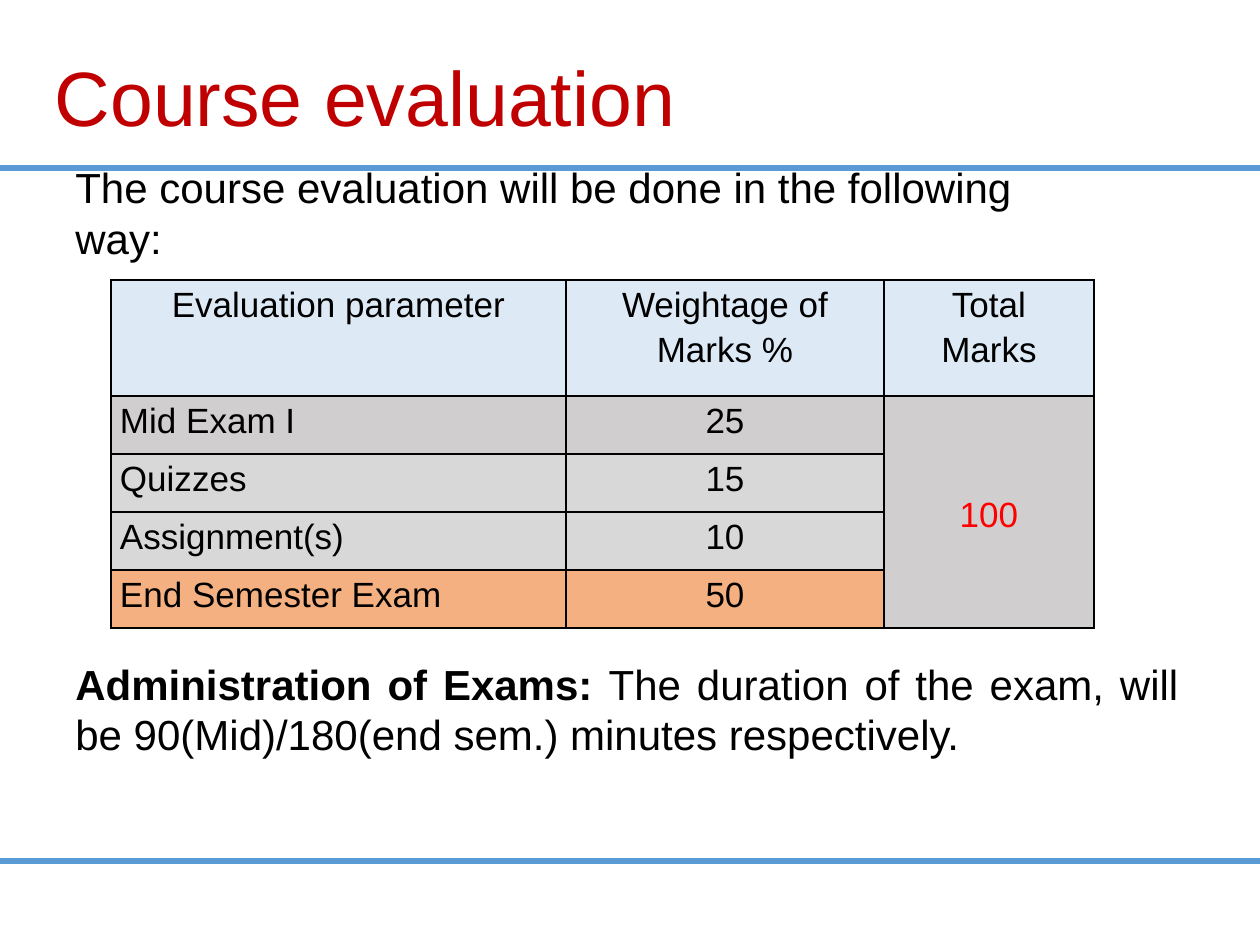
from lxml.etree import SubElement
from pptx import Presentation
from pptx.dml.color import RGBColor
from pptx.enum.text import MSO_ANCHOR as Anchor, MSO_AUTO_SIZE as AutoSize, PP_ALIGN as Align
from pptx.enum.shapes import MSO_CONNECTOR as Connector
from pptx.oxml import parse_xml
from pptx.oxml.ns import nsdecls, qn
from pptx.util import Emu, Pt

PX = 914400 // 126
FONT = "Arial"
COLORS = {
    "title": "C00000", "text": "000000", "total": "FF0000", "rule": "5B9BD5",
    "header": "DDEAF6", "mid": "D0CECE", "coursework": "D8D8D8", "final": "F4B081",
}
COLUMNS = [455, 318, 210]
ROWS = [116, 58, 58, 58, 58]
HEADERS = ["Evaluation parameter", "Weightage of Marks %", "Total\nMarks"]
MARKS = [
    ("Mid Exam I", "25", "mid"),
    ("Quizzes", "15", "coursework"),
    ("Assignment(s)", "10", "coursework"),
    ("End Semester Exam", "50", "final"),
]


def px(value):
    """Turn pixels into EMU."""
    return Emu(value * PX)


def rgb(name):
    """Look up a named colour."""
    return RGBColor.from_string(COLORS[name])


def style(paragraph, size, color="text", align=Align.LEFT, spacing=1.0):
    """Set the font and layout of a paragraph."""
    paragraph.alignment = align
    paragraph.line_spacing = spacing
    paragraph.font.name = FONT
    paragraph.font.size = Pt(size)
    paragraph.font.color.rgb = rgb(color)


def add_rule(slide, y):
    """Draw a rule across the full slide width."""
    rule = slide.shapes.add_connector(Connector.STRAIGHT, 0, px(y), px(1260), px(y))
    rule.line.color.rgb = rgb("rule")
    rule.line.width = Pt(3)
    SubElement(rule._element.spPr, qn("a:effectLst"))


def set_title(slide, text):
    """Place and format the title."""
    title = slide.shapes.title
    title.left, title.top, title.width, title.height = map(px, (42, 33, 703, 138))
    frame = title.text_frame
    frame.text = text
    frame.auto_size = AutoSize.NONE
    frame.vertical_anchor = Anchor.MIDDLE
    style(frame.paragraphs[0], 44, "title", spacing=0.9)


def add_text(slide, box, runs, align=Align.LEFT):
    """Add a wrapped paragraph made of (text, bold) runs."""
    frame = slide.shapes.add_textbox(*map(px, box)).text_frame
    frame.word_wrap = True
    paragraph = frame.paragraphs[0]
    style(paragraph, 24, align=align)
    for text, bold in runs:
        run = paragraph.add_run()
        run.text = text
        run.font.bold = bold
    return frame


def add_borders(cell):
    """Give a cell thin black borders, ahead of its fill."""
    properties = cell._tc.get_or_add_tcPr()
    for index, side in enumerate(("lnL", "lnR", "lnT", "lnB")):
        properties.insert(index, parse_xml(
            f'<a:{side} {nsdecls("a")} w="12700"><a:solidFill>'
            f'<a:srgbClr val="{COLORS["text"]}"/></a:solidFill></a:{side}>'))


def fill_cell(cell, text, fill, color="text", align=Align.CENTER):
    """Write and format one table cell."""
    cell.text = text
    cell.fill.solid()
    cell.fill.fore_color.rgb = rgb(fill)
    cell.margin_left = cell.margin_right = px(9)
    cell.margin_top = cell.margin_bottom = 0
    for paragraph in cell.text_frame.paragraphs:
        style(paragraph, 20, color, align, 1.15)
    add_borders(cell)


def add_marks_table(slide):
    """Add the table of evaluation parameters."""
    table = slide.shapes.add_table(
        len(ROWS), len(COLUMNS), px(111), px(280), px(sum(COLUMNS)), px(sum(ROWS))).table
    for column, width in zip(table.columns, COLUMNS):
        column.width = px(width)
    for row, height in zip(table.rows, ROWS):
        row.height = px(height)
    for column, header in enumerate(HEADERS):
        fill_cell(table.cell(0, column), header, "header")
    for row, (name, weight, fill) in enumerate(MARKS, 1):
        fill_cell(table.cell(row, 0), name, fill, align=Align.LEFT)
        fill_cell(table.cell(row, 1), weight, fill)
        fill_cell(table.cell(row, 2), "100" if row == 1 else "", "mid", "total")
    total = table.cell(1, 2)
    total.merge(table.cell(len(MARKS), 2))
    total.vertical_anchor = Anchor.MIDDLE


def main():
    """Build and save the slide."""
    presentation = Presentation()
    presentation.slide_width, presentation.slide_height = px(1260), px(945)
    slide = presentation.slides.add_slide(presentation.slide_layouts[5])
    add_rule(slide, 861)
    add_rule(slide, 168)
    set_title(slide, "Course evaluation")
    add_marks_table(slide)
    intro = add_text(slide, (63, 179, 998, 115), [
        ("The course evaluation will be done in the following way:", False)])
    intro.vertical_anchor = Anchor.MIDDLE
    intro.margin_bottom = px(55)
    add_text(slide, (63, 652, 1128, 140), [
        ("Administration of Exams: ", True),
        ("The duration of the exam, will be 90(Mid)/180(end sem.) minutes respectively.", False),
    ], Align.JUSTIFY)
    presentation.save("out.pptx")


if __name__ == "__main__":
    main()
